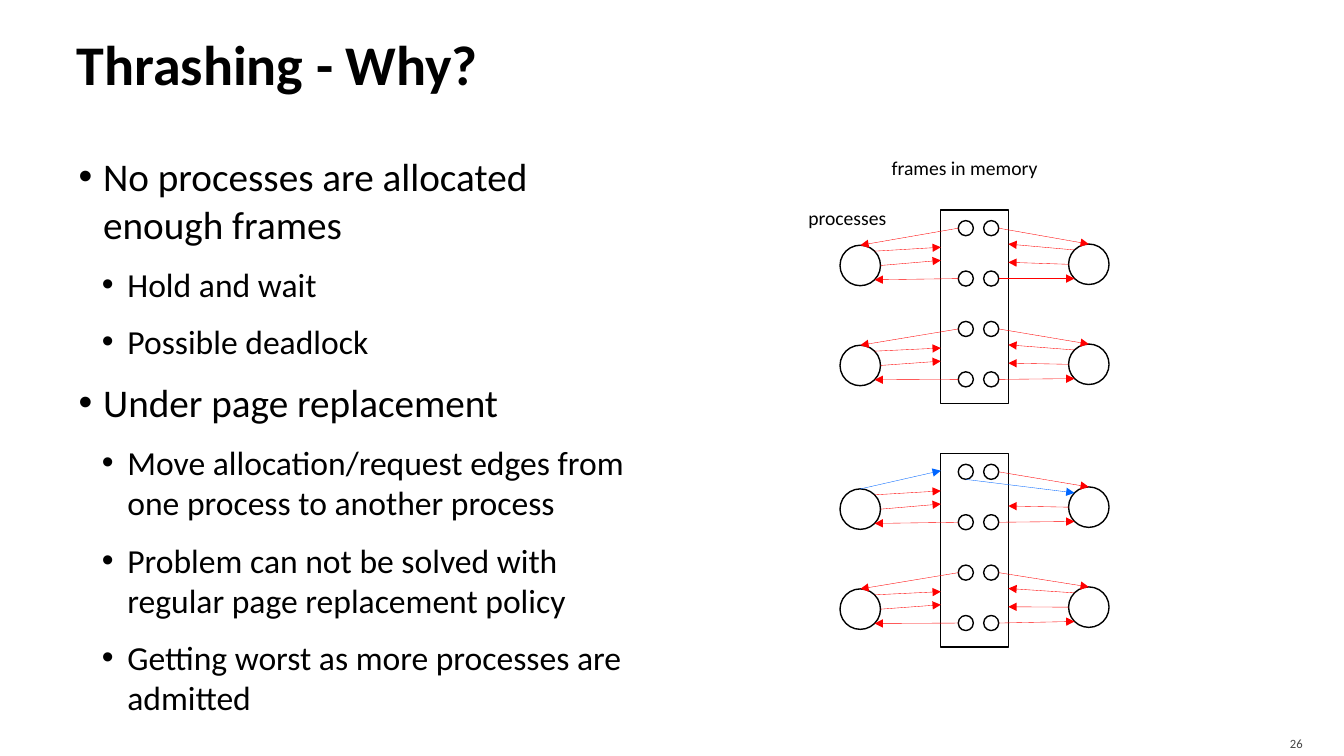
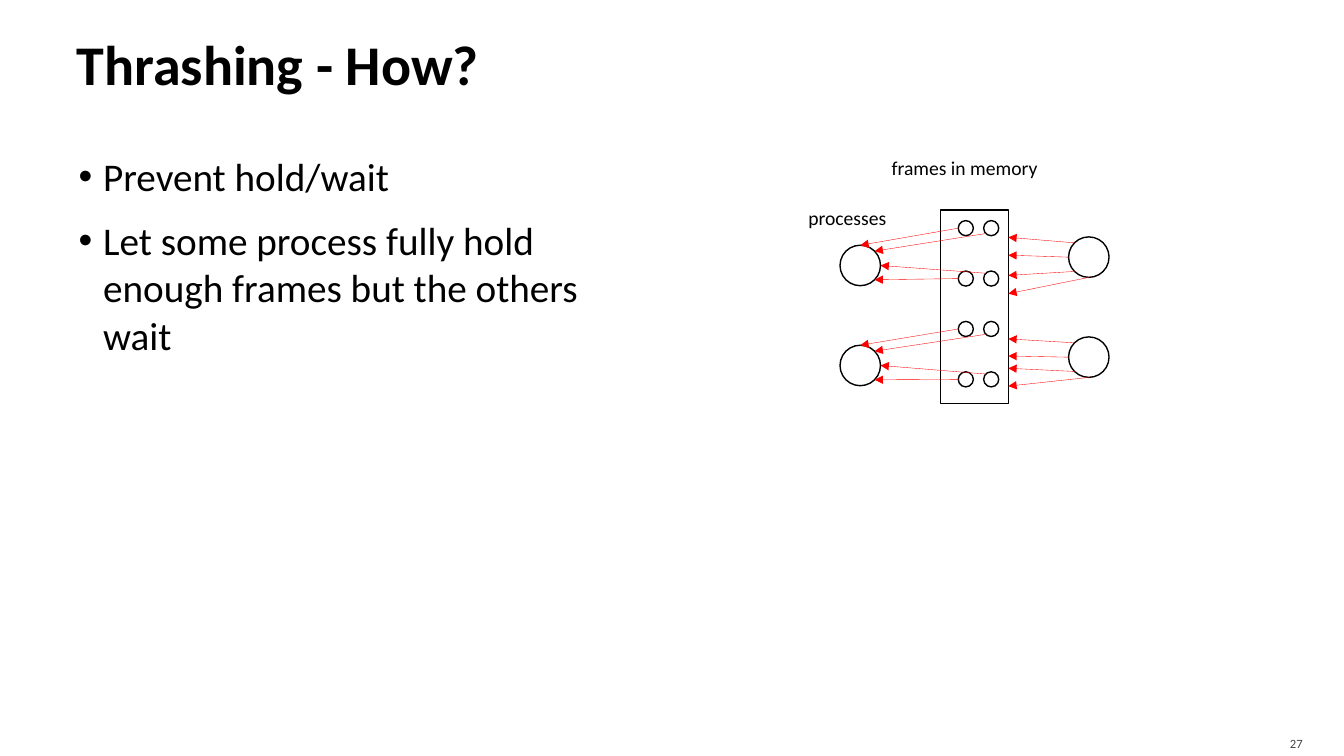
from collections.abc import Sequence
from dataclasses import dataclass
from itertools import product
from math import cos, radians, sin

from lxml.etree import SubElement
from pptx import Presentation
from pptx.dml.color import RGBColor
from pptx.enum.shapes import MSO_CONNECTOR, MSO_SHAPE
from pptx.enum.text import MSO_ANCHOR, MSO_AUTO_SIZE, PP_ALIGN
from pptx.oxml.ns import qn
from pptx.presentation import Presentation as Deck
from pptx.shapes.shapetree import GroupShapes
from pptx.slide import Slide
from pptx.text.text import TextFrame, _Paragraph
from pptx.util import Cm, Pt


@dataclass(frozen=True)
class Theme:
    font: str = "Calibri"
    ink: str = "000000"
    paper: str = "FFFFFF"
    footer: str = "454545"
    edge: str = "FF0000"
    moved_edge: str = "0066FF"
    title_size: int = 40
    body_sizes: tuple[int, int] = (28, 24)
    label_size: int = 14
    footer_size: int = 9
    outline: float = 1
    edge_width: float = 0.25


@dataclass(frozen=True)
class Box:
    """A rectangle in centimetres."""
    left: float
    top: float
    width: float
    height: float

    def lengths(self) -> tuple[Cm, Cm, Cm, Cm]:
        return Cm(self.left), Cm(self.top), Cm(self.width), Cm(self.height)


@dataclass(frozen=True)
class Circle:
    x: float
    y: float
    radius: float

    def box(self) -> Box:
        return Box(self.x - self.radius, self.y - self.radius, 2 * self.radius, 2 * self.radius)

    def port(self, angle: float) -> tuple[float, float]:
        """Point on the rim; angles run clockwise from the right."""
        turn = radians(angle)
        return self.x + self.radius * cos(turn), self.y + self.radius * sin(turn)


@dataclass(frozen=True)
class Hold:
    """A frame allocated to a process; column and row count frames."""
    side: str
    process_port: float
    column: int
    row: int
    frame_port: float
    moved: bool = False


@dataclass(frozen=True)
class Request:
    """A process asking for memory at a height below the top of its row."""
    side: str
    process_port: float
    height: float
    moved: bool = False


@dataclass(frozen=True)
class Bank:
    """A block of memory with one list of edges for each row of processes."""
    top: float
    right_process_y: float
    rows: tuple[Sequence[Hold | Request], ...]


@dataclass(frozen=True)
class Lesson:
    title: str
    number: int
    bullets: tuple[tuple[int, str], ...]
    banks: tuple[Bank, ...]


THEME = Theme()
TITLE_BOX = Box(1.69, 0.42, 30.48, 2.34)
BODY_BOX = Box(1.69, 3.6, 14.95, 15.3)
NUMBER_BOX = Box(30.38, 18.28, 2.7, 0.76)
LABELS = (("processes", Box(20.12, 5.07, 2.62, 0.86)),
          ("frames in memory", Box(22.22, 3.81, 4.35, 0.86)))
INDENTS = ((0.66, -0.62), (1.27, -0.64))

MEMORY_LEFT, MEMORY_WIDTH, MEMORY_HEIGHT = 23.71, 1.7, 4.88
FRAME_RADIUS, FRAME_X, FRAME_Y = 0.19, 0.63, 0.46
FRAME_STEP_X, FRAME_STEP_Y = 0.64, 1.27
PROCESS_RADIUS, PROCESS_STEP = 0.51, 2.52
PROCESS_X = {"left": -2.03, "right": 3.73}
LEFT_PROCESS_Y = 1.4

RIGHT, LOWER_RIGHT, BOTTOM, LOWER_LEFT = 0, 45, 90, 135
LEFT, UPPER_LEFT, TOP, UPPER_RIGHT = 180, 225, 270, 315

LEFT_HOLDS = (Hold("left", TOP, 0, 0, LEFT), Hold("left", LOWER_RIGHT, 0, 1, LEFT))
LEFT_REQUESTS = (Request("left", UPPER_RIGHT, 0.94), Request("left", RIGHT, 1.27))
RIGHT_HOLDS = (Hold("right", TOP, 1, 0, RIGHT), Hold("right", LOWER_LEFT, 1, 1, RIGHT))
RIGHT_REQUESTS = (Request("right", UPPER_LEFT, 0.86), Request("right", LEFT, 1.32))

DEADLOCK = LEFT_HOLDS + LEFT_REQUESTS + RIGHT_HOLDS + RIGHT_REQUESTS
REPLACEMENT = LEFT_HOLDS[1:] + LEFT_REQUESTS + RIGHT_HOLDS + RIGHT_REQUESTS[1:] + (
    Request("left", TOP, 0.43, moved=True),
    Hold("right", UPPER_LEFT, 0, 0, BOTTOM, moved=True))
LEFT_OWNS_ALL = LEFT_HOLDS + (
    Hold("left", UPPER_RIGHT, 1, 0, LOWER_LEFT), Hold("left", RIGHT, 1, 1, UPPER_LEFT))


def right_waits(*heights: float) -> tuple[Request, ...]:
    ports = (UPPER_LEFT, LEFT, LOWER_LEFT, BOTTOM)
    return tuple(Request("right", port, height) for port, height in zip(ports, heights))


LESSONS = (
    Lesson("Thrashing - Why?", 26, (
        (0, "No processes are allocated enough frames"),
        (1, "Hold and wait"),
        (1, "Possible deadlock"),
        (0, "Under page replacement"),
        (1, "Move allocation/request edges from one process to another process"),
        (1, "Problem can not be solved with regular page replacement policy"),
        (1, "Getting worst as more processes are admitted"),
    ), (Bank(5.29, 1.37, (DEADLOCK, DEADLOCK)),
        Bank(11.43, 1.35, (REPLACEMENT, DEADLOCK)))),
    Lesson("Thrashing - How?", 27, (
        (0, "Prevent hold/wait"),
        (0, "Let some process fully hold enough frames but the others wait"),
    ), (Bank(5.29, 1.19, (LEFT_OWNS_ALL + right_waits(0.69, 1.14, 1.65, 2.11),
                          LEFT_OWNS_ALL + right_waits(0.71, 1.14, 1.45, 1.9))),)),
)


def write(para: _Paragraph, text: str, *, size: float, color: str = THEME.ink,
          bold: bool = False, align: PP_ALIGN = PP_ALIGN.LEFT) -> None:
    para.alignment = align
    span = para.add_run()
    span.text = text
    span.font.name = THEME.font
    span.font.size = Pt(size)
    span.font.bold = bold
    span.font.color.rgb = RGBColor.from_string(color)


def set_frame(frame: TextFrame, anchor: MSO_ANCHOR, left: float = 0.25, top: float = 0.13,
              right: float = 0.25, bottom: float = 0.13) -> None:
    frame.word_wrap = True
    frame.auto_size = MSO_AUTO_SIZE.NONE
    frame.vertical_anchor = anchor
    frame.margin_left, frame.margin_top = Cm(left), Cm(top)
    frame.margin_right, frame.margin_bottom = Cm(right), Cm(bottom)


def place(shape, box: Box) -> None:
    shape.left, shape.top, shape.width, shape.height = box.lengths()


def add_bullet(para: _Paragraph, level: int) -> None:
    para.level = level
    properties = para._p.get_or_add_pPr()
    margin, indent = INDENTS[level]
    properties.set("marL", str(Cm(margin)))
    properties.set("indent", str(Cm(indent)))
    color = SubElement(properties, qn("a:buClr"))
    SubElement(color, qn("a:srgbClr"), val=THEME.ink)
    SubElement(properties, qn("a:buFont"), typeface="Arial")
    SubElement(properties, qn("a:buChar"), char="•")


def add_title(page: Slide, text: str) -> None:
    title = page.shapes.title
    place(title, TITLE_BOX)
    set_frame(title.text_frame, MSO_ANCHOR.MIDDLE, right=0.13)
    write(title.text_frame.paragraphs[0], text, size=THEME.title_size, bold=True)


def add_body(page: Slide, bullets: tuple[tuple[int, str], ...]) -> None:
    body = page.placeholders[1]
    place(body, BODY_BOX)
    frame = body.text_frame
    set_frame(frame, MSO_ANCHOR.TOP, top=0.25)
    for index, (level, text) in enumerate(bullets):
        para = frame.add_paragraph() if index else frame.paragraphs[0]
        add_bullet(para, level)
        para.space_before = Pt(6 if index else 0)
        para.space_after = Pt(6)
        write(para, text, size=THEME.body_sizes[level])


def add_label(page: Slide, text: str, box: Box, *, size: float, color: str = THEME.ink,
              align: PP_ALIGN = PP_ALIGN.LEFT, anchor: MSO_ANCHOR = MSO_ANCHOR.TOP,
              bottom: float = 0.13) -> None:
    frame = page.shapes.add_textbox(*box.lengths()).text_frame
    set_frame(frame, anchor, bottom=bottom)
    write(frame.paragraphs[0], text, size=size, color=color, align=align)


def add_outline(shapes: GroupShapes, kind: MSO_SHAPE, box: Box, filled: bool = True) -> None:
    shape = shapes.add_shape(kind, *box.lengths())
    shape.shadow.inherit = False
    if filled:
        shape.fill.solid()
        shape.fill.fore_color.rgb = RGBColor.from_string(THEME.paper)
    else:
        shape.fill.background()
    shape.line.color.rgb = RGBColor.from_string(THEME.ink)
    shape.line.width = Pt(THEME.outline)


def add_arrow(shapes: GroupShapes, start: tuple[float, float], end: tuple[float, float],
              color: str) -> None:
    arrow = shapes.add_connector(MSO_CONNECTOR.STRAIGHT, *map(Cm, start + end))
    arrow.line.color.rgb = RGBColor.from_string(color)
    arrow.line.width = Pt(THEME.edge_width)
    properties = arrow.element.spPr
    SubElement(properties.find(qn("a:ln")), qn("a:tailEnd"), type="triangle")
    SubElement(properties, qn("a:effectLst"))


def frame_circle(bank: Bank, column: int, row: int) -> Circle:
    return Circle(MEMORY_LEFT + FRAME_X + column * FRAME_STEP_X,
                  bank.top + FRAME_Y + row * FRAME_STEP_Y, FRAME_RADIUS)


def process_circle(bank: Bank, side: str, row: int) -> Circle:
    y = LEFT_PROCESS_Y if side == "left" else bank.right_process_y
    return Circle(MEMORY_LEFT + PROCESS_X[side], bank.top + y + row * PROCESS_STEP,
                  PROCESS_RADIUS)


def add_edge(shapes: GroupShapes, bank: Bank, row: int, edge: Hold | Request) -> None:
    process = process_circle(bank, edge.side, row).port(edge.process_port)
    color = THEME.moved_edge if edge.moved else THEME.edge
    if isinstance(edge, Hold):
        frame = frame_circle(bank, edge.column, 2 * row + edge.row)
        add_arrow(shapes, frame.port(edge.frame_port), process, color)
    else:
        wall = MEMORY_LEFT + (MEMORY_WIDTH if edge.side == "right" else 0)
        height = bank.top + 2 * row * FRAME_STEP_Y + edge.height
        add_arrow(shapes, process, (wall, height), color)


def add_bank(page: Slide, bank: Bank) -> None:
    shapes = page.shapes.add_group_shape().shapes
    add_outline(shapes, MSO_SHAPE.RECTANGLE,
                Box(MEMORY_LEFT, bank.top, MEMORY_WIDTH, MEMORY_HEIGHT))
    for row, column in product(range(4), range(2)):
        add_outline(shapes, MSO_SHAPE.OVAL, frame_circle(bank, column, row).box(), filled=False)
    for row, edges in enumerate(bank.rows):
        for side in PROCESS_X:
            add_outline(shapes, MSO_SHAPE.OVAL, process_circle(bank, side, row).box())
        for edge in edges:
            add_edge(shapes, bank, row, edge)


def add_lesson(deck: Deck, lesson: Lesson) -> None:
    page = deck.slides.add_slide(deck.slide_layouts[1])
    add_title(page, lesson.title)
    add_body(page, lesson.bullets)
    add_label(page, str(lesson.number), NUMBER_BOX, size=THEME.footer_size, color=THEME.footer,
              align=PP_ALIGN.RIGHT, anchor=MSO_ANCHOR.MIDDLE, bottom=0)
    for text, box in LABELS:
        add_label(page, text, box, size=THEME.label_size)
    for bank in lesson.banks:
        add_bank(page, bank)


def main() -> None:
    deck = Presentation()
    deck.slide_width, deck.slide_height = Cm(33.87), Cm(19.05)
    for lesson in LESSONS:
        add_lesson(deck, lesson)
    deck.save("out.pptx")


if __name__ == "__main__":
    main()
